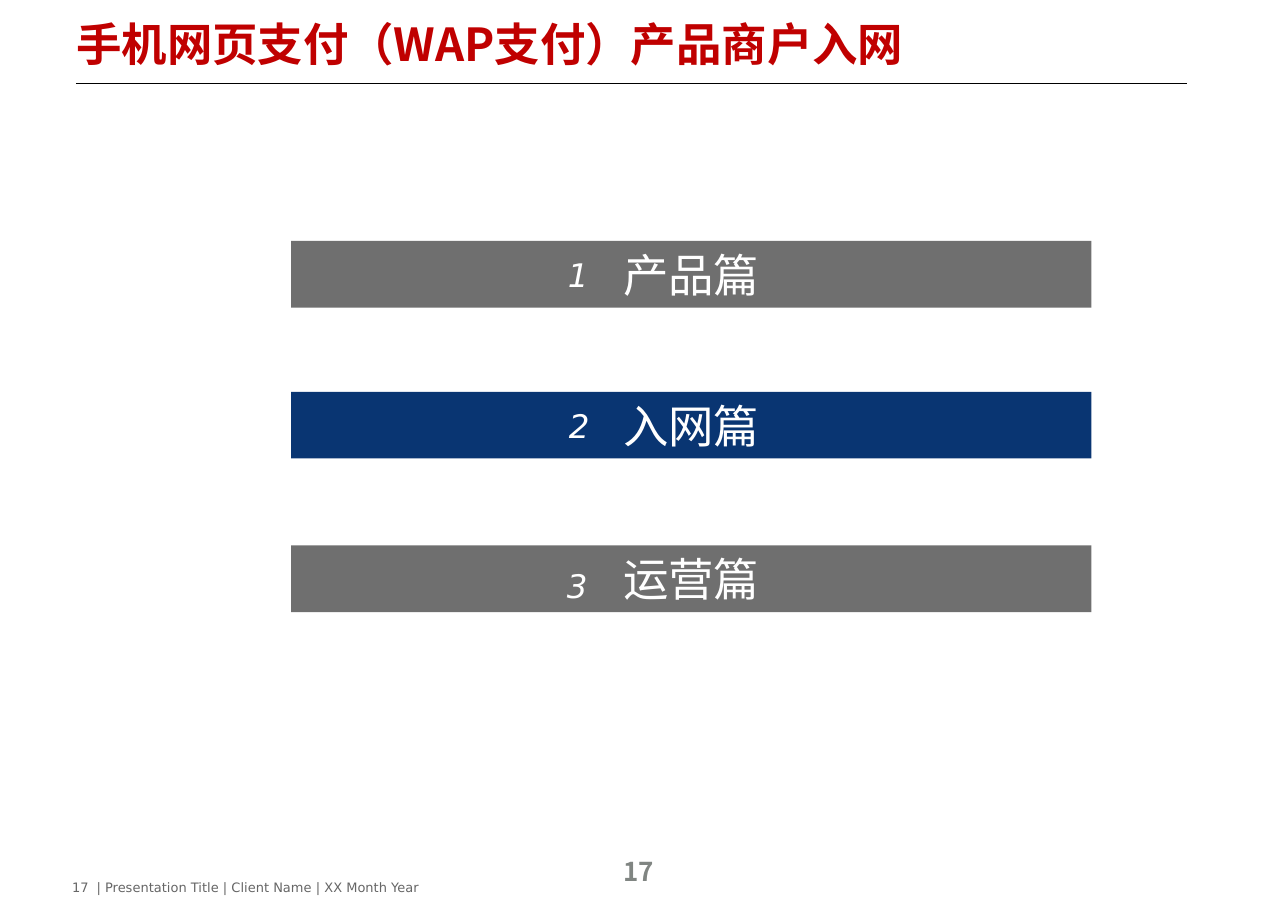
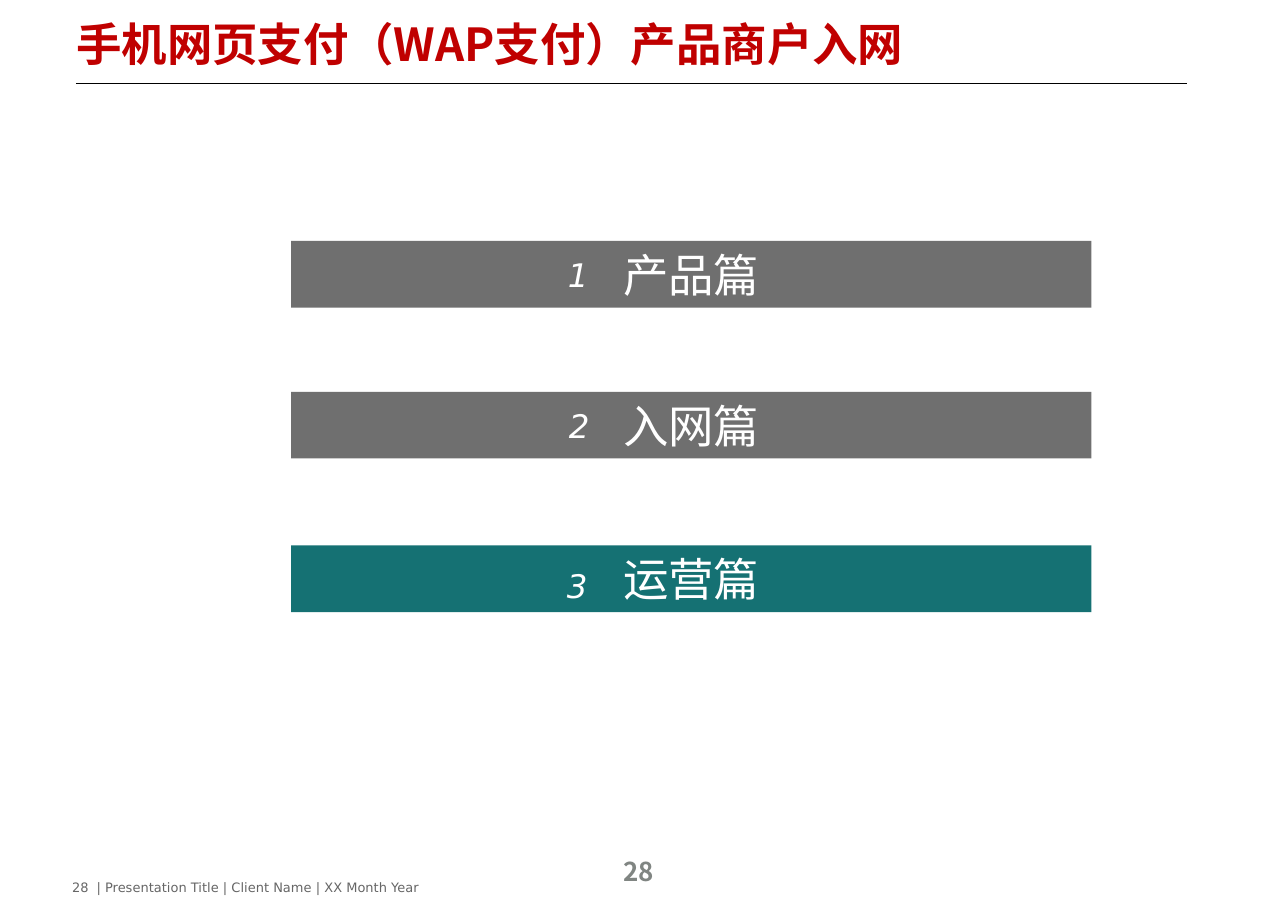
from dataclasses import dataclass

from lxml.etree import SubElement
from pptx import Presentation
from pptx.dml.color import RGBColor
from pptx.enum.shapes import MSO_CONNECTOR, MSO_SHAPE
from pptx.enum.text import MSO_ANCHOR, MSO_AUTO_SIZE, PP_ALIGN
from pptx.oxml.ns import qn
from pptx.slide import Slide
from pptx.text.text import TextFrame
from pptx.util import Cm, Emu, Pt

COLORS = {
    "title": "C00000",
    "rule": "000000",
    "grey": "6F6F6F",
    "navy": "093572",
    "teal": "157173",
    "white": "FFFFFF",
    "foot": "666666",
    "page": "808582",
}
SANS = "DejaVu Sans"
HAN = "Noto Sans CJK SC"
TITLE = "手机网页支付（WAP支付）产品商户入网"
FOOTER = "| Presentation Title | Client Name | XX Month Year"


@dataclass(frozen=True)
class Style:
    font: str
    size: int
    color: str
    bold: bool = False
    slant: bool = False
    align: PP_ALIGN = PP_ALIGN.LEFT
    anchor: MSO_ANCHOR = MSO_ANCHOR.TOP


@dataclass(frozen=True)
class Box:
    left: float
    top: float
    width: float
    height: float

    def place(self) -> tuple[Cm, Cm, Cm, Cm]:
        return Cm(self.left), Cm(self.top), Cm(self.width), Cm(self.height)


@dataclass(frozen=True)
class Part:
    label: str
    top: float
    mark: Box


@dataclass(frozen=True)
class Page:
    number: int
    active: int
    color: str


HEAD = Style(HAN, 28, "title", bold=True, anchor=MSO_ANCHOR.MIDDLE)
LABEL = Style(HAN, 28, "white", align=PP_ALIGN.CENTER, anchor=MSO_ANCHOR.MIDDLE)
MARK = Style(SANS, 20, "white", slant=True, align=PP_ALIGN.CENTER, anchor=MSO_ANCHOR.MIDDLE)
FOOT = Style(SANS, 8, "foot")
COUNT = Style(SANS, 8, "foot", align=PP_ALIGN.RIGHT, anchor=MSO_ANCHOR.MIDDLE)
FOLIO = Style(HAN, 16, "page", bold=True)

PARTS = [
    Part("产品篇", 5.24, Box(12, 5.4, 1.14, 1.12)),
    Part("入网篇", 8.52, Box(12, 8.7, 1.19, 1.12)),
    Part("运营篇", 11.86, Box(12, 12.18, 1.1, 1.12)),
]
PAGES = [Page(17, 2, "navy"), Page(28, 3, "teal")]


def tint(name: str) -> RGBColor:
    return RGBColor.from_string(COLORS[name])


def write(frame: TextFrame, text: str, style: Style, side: float = 0, edge: float = 0) -> None:
    frame.text = text
    frame.word_wrap = True
    frame.auto_size = MSO_AUTO_SIZE.NONE
    frame.vertical_anchor = style.anchor
    frame.margin_left = frame.margin_right = Cm(side)
    frame.margin_top = frame.margin_bottom = Cm(edge)
    line = frame.paragraphs[0]
    line.alignment = style.align
    for run in line.runs:
        font = run.font
        font.name = style.font
        font.size = Pt(style.size)
        font.bold = style.bold
        font.italic = style.slant
        font.color.rgb = tint(style.color)
        SubElement(font._element, qn("a:ea"), typeface=style.font)


def add_text(slide: Slide, box: Box, text: str, style: Style) -> None:
    write(slide.shapes.add_textbox(*box.place()).text_frame, text, style)


def add_frame(slide: Slide, number: int) -> None:
    title = slide.shapes.title
    title.left, title.top, title.width, title.height = Box(1.41, 0, 25.2, 1.87).place()
    write(title.text_frame, TITLE, HEAD, 0.25, 0.13)

    rule = slide.shapes.add_connector(
        MSO_CONNECTOR.STRAIGHT, Cm(1.65), Cm(1.81), Cm(25.81), Cm(1.81)
    )
    rule.line.color.rgb = tint("rule")
    rule.line.width = Pt(0.75)
    SubElement(rule._element.spPr, qn("a:effectLst"))

    add_text(slide, Box(1.22, 19.13, 0.71, 0.33), str(number), COUNT)
    add_text(slide, Box(2.1, 19.13, 11.43, 0.33), FOOTER, FOOT)
    add_text(slide, Box(13.56, 18.61, 1.98, 0.81), str(number), FOLIO)


def add_bar(slide: Slide, part: Part, index: int, color: str) -> None:
    box = Box(6.33, part.top, 17.4, 1.45)
    bar = slide.shapes.add_shape(MSO_SHAPE.RECTANGLE, *box.place())
    bar.shadow.inherit = False
    bar.fill.solid()
    bar.fill.fore_color.rgb = tint(color)
    bar.line.fill.background()
    write(bar.text_frame, part.label, LABEL)
    add_text(slide, part.mark, str(index), MARK)


def main() -> None:
    deck = Presentation()
    deck.slide_width = Emu(10080625)
    deck.slide_height = Emu(7200900)
    for page in PAGES:
        slide = deck.slides.add_slide(deck.slide_layouts[5])
        add_frame(slide, page.number)
        for index, part in enumerate(PARTS, 1):
            add_bar(slide, part, index, page.color if index == page.active else "grey")
    deck.save("out.pptx")


if __name__ == "__main__":
    main()
